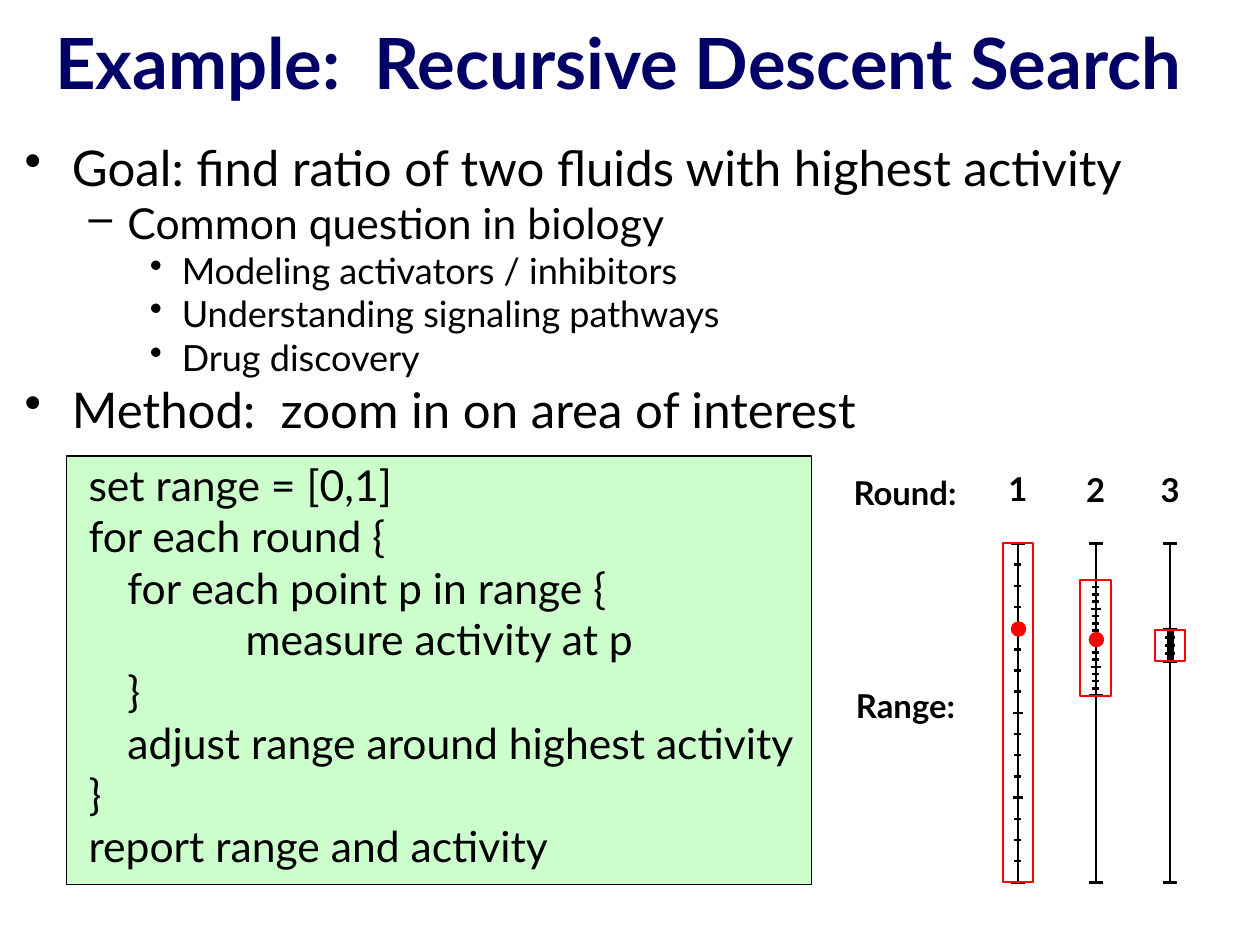
from lxml import etree
from pptx import Presentation
from pptx.dml.color import RGBColor
from pptx.enum.shapes import MSO_CONNECTOR, MSO_SHAPE
from pptx.enum.text import MSO_ANCHOR, PP_ALIGN
from pptx.oxml.ns import qn
from pptx.util import Inches, Pt

STRAIGHT = MSO_CONNECTOR.STRAIGHT
RECTANGLE, OVAL = MSO_SHAPE.RECTANGLE, MSO_SHAPE.OVAL
MIDDLE, TOP = MSO_ANCHOR.MIDDLE, MSO_ANCHOR.TOP
CENTER, LEFT = PP_ALIGN.CENTER, PP_ALIGN.LEFT

FONT = "Lato"
COLORS = {"navy": "000066", "black": "000000", "green": "CCFFCC", "red": "FF0000"}
AXIS_TOP, AXIS_BOTTOM = 4.6, 7.47
DIVISIONS = 16

LEVELS = {
    "point": {"margin": 0.4, "indent": -0.4, "bullet": "•", "size": 30, "before": 7.5},
    "sub": {"margin": 0.87, "indent": -0.33, "bullet": "–", "size": 26, "before": 6.5},
    "detail": {"margin": 1.33, "indent": -0.27, "bullet": "•", "size": 22, "before": 5.5},
    "code": {"margin": 0.54, "indent": 0, "bullet": None, "size": 26, "before": 6.5},
    "code first": {"margin": 0.54, "indent": 0, "bullet": None, "size": 26, "before": 18.5},
    "code inner": {"margin": 0.87, "indent": 0, "bullet": None, "size": 26, "before": 6.5},
    "code deep": {"margin": 1.87, "indent": 0, "bullet": None, "size": 26, "before": 6.5},
}
BODY = [
    ("point", "Goal: find ratio of two fluids with highest activity"),
    ("sub", "Common question in biology"),
    ("detail", "Modeling activators / inhibitors"),
    ("detail", "Understanding signaling pathways"),
    ("detail", "Drug discovery"),
    ("point", "Method:  zoom in on area of interest"),
    ("code first", "set range = [0,1]"),
    ("code", "for each round {"),
    ("code inner", "for each point p in range {"),
    ("code deep", "measure activity at p"),
    ("code inner", "}"),
    ("code inner", "adjust range around highest activity"),
    ("code", "}"),
    ("code", "report range and activity"),
]
LABELS = [
    ("Round:", 7.13, 3.95, 1.17),
    ("Range:", 7.15, 5.76, 1.15),
    ("1", 8.44, 3.92, 0.36),
    ("2", 9.1, 3.93, 0.36),
    ("3", 9.73, 3.93, 0.36),
]
ROUNDS = [
    {"x": 8.62, "top": AXIS_TOP, "bottom": AXIS_BOTTOM, "peak": 5.33},
    {"x": 9.28, "top": 4.91, "bottom": 5.89, "peak": 5.42},
    {"x": 9.91, "top": 5.33, "bottom": 5.6, "peak": None},
]


def color(name):
    """Return the named colour."""
    return RGBColor.from_string(COLORS[name])


def style_font(font, size, name="black", bold=False):
    """Apply the deck's font format."""
    for key, value in {"name": FONT, "size": Pt(size), "bold": bold}.items():
        setattr(font, key, value)
    font.color.rgb = color(name)


def add_box(page, left, top, width, height, wrap=True, anchor=TOP, inset=0.11):
    """Add an empty text box and return its frame."""
    box = page.shapes.add_textbox(*map(Inches, (left, top, width, height)))
    frame = box.text_frame
    values = {"word_wrap": wrap, "vertical_anchor": anchor,
              "margin_left": Inches(inset), "margin_right": Inches(inset),
              "margin_top": Inches(0.05), "margin_bottom": Inches(0.05)}
    for key, value in values.items():
        setattr(frame, key, value)
    return frame


def add_line_of_text(frame, text, size, name="black", align=LEFT):
    """Write one bold line into a frame."""
    para = frame.paragraphs[0]
    para.alignment = align
    span = para.add_run()
    span.text = text
    style_font(span.font, size, name, bold=True)


def add_body(page):
    """Add the bulleted outline and the pseudocode."""
    frame = add_box(page, 0.1, 1.21, 10.53, 6.57)
    for index, (level, text) in enumerate(BODY):
        look = LEVELS[level]
        para = frame.add_paragraph() if index else frame.paragraphs[0]
        para.line_spacing = 0.8
        para.space_before = Pt(look["before"] if index else 0)
        props = para._p.get_or_add_pPr()
        props.set("marL", str(Inches(look["margin"])))
        props.set("indent", str(Inches(look["indent"])))
        if look["bullet"]:
            etree.SubElement(props, qn("a:buChar"), char=look["bullet"])
        else:
            etree.SubElement(props, qn("a:buNone"))
        span = para.add_run()
        span.text = text
        style_font(span.font, look["size"])


def add_panel(page, kind, left, top, width, height, fill, line, weight):
    """Add a flat preset shape, unfilled when fill is None."""
    shape = page.shapes.add_shape(kind, *map(Inches, (left, top, width, height)))
    shape.shadow.inherit = False
    if fill:
        shape.fill.solid()
        shape.fill.fore_color.rgb = color(fill)
    else:
        shape.fill.background()
    shape.line.color.rgb = color(line)
    shape.line.width = Pt(weight)


def add_stroke(page, x1, y1, x2, y2):
    """Add a straight black line."""
    stroke = page.shapes.add_connector(STRAIGHT, *map(Inches, (x1, y1, x2, y2)))
    stroke.line.color.rgb = color("black")
    stroke.line.width = Pt(1.5)
    etree.SubElement(stroke._element.spPr, qn("a:effectLst"))


def add_ruler(page, x, top, bottom, divisions):
    """Add a vertical axis with end, quarter and minor ticks."""
    add_stroke(page, x, top, x, bottom)
    for index in range(divisions + 1):
        y = top + (bottom - top) * index / divisions
        if index in (0, divisions):
            half = 0.06
        else:
            half = 0.03 if index % 4 else 0.04
        add_stroke(page, x - half, y, x + half, y)


def add_round(page, x, top, bottom, peak):
    """Add one search round: axis, framed range and highest point."""
    if top > AXIS_TOP:
        add_ruler(page, x, AXIS_TOP, AXIS_BOTTOM, 1)
    add_ruler(page, x, top, bottom, DIVISIONS)
    add_panel(page, RECTANGLE, x - 0.13, top, 0.26, bottom - top, None, "red", 1.25)
    if peak:
        add_panel(page, OVAL, x - 0.05, peak - 0.06, 0.11, 0.11, "red", "red", 1.5)


def main():
    """Build the slide and save the deck."""
    deck = Presentation()
    deck.slide_width, deck.slide_height = Inches(10.67), Inches(8)
    page = deck.slides.add_slide(deck.slide_layouts[6])
    add_panel(page, RECTANGLE, 0.56, 3.86, 6.31, 3.63, "green", "black", 0.75)
    title = add_box(page, 0, -0.15, 10.47, 1.33, anchor=MIDDLE)
    add_line_of_text(title, "Example:  Recursive Descent Search", 43, "navy", CENTER)
    add_body(page)
    for text, left, top, width in LABELS:
        label = add_box(page, left, top, width, 0.44, wrap=False, inset=0.1)
        add_line_of_text(label, text, 20)
    for search_round in ROUNDS:
        add_round(page, **search_round)
    deck.save("out.pptx")


if __name__ == "__main__":
    main()
